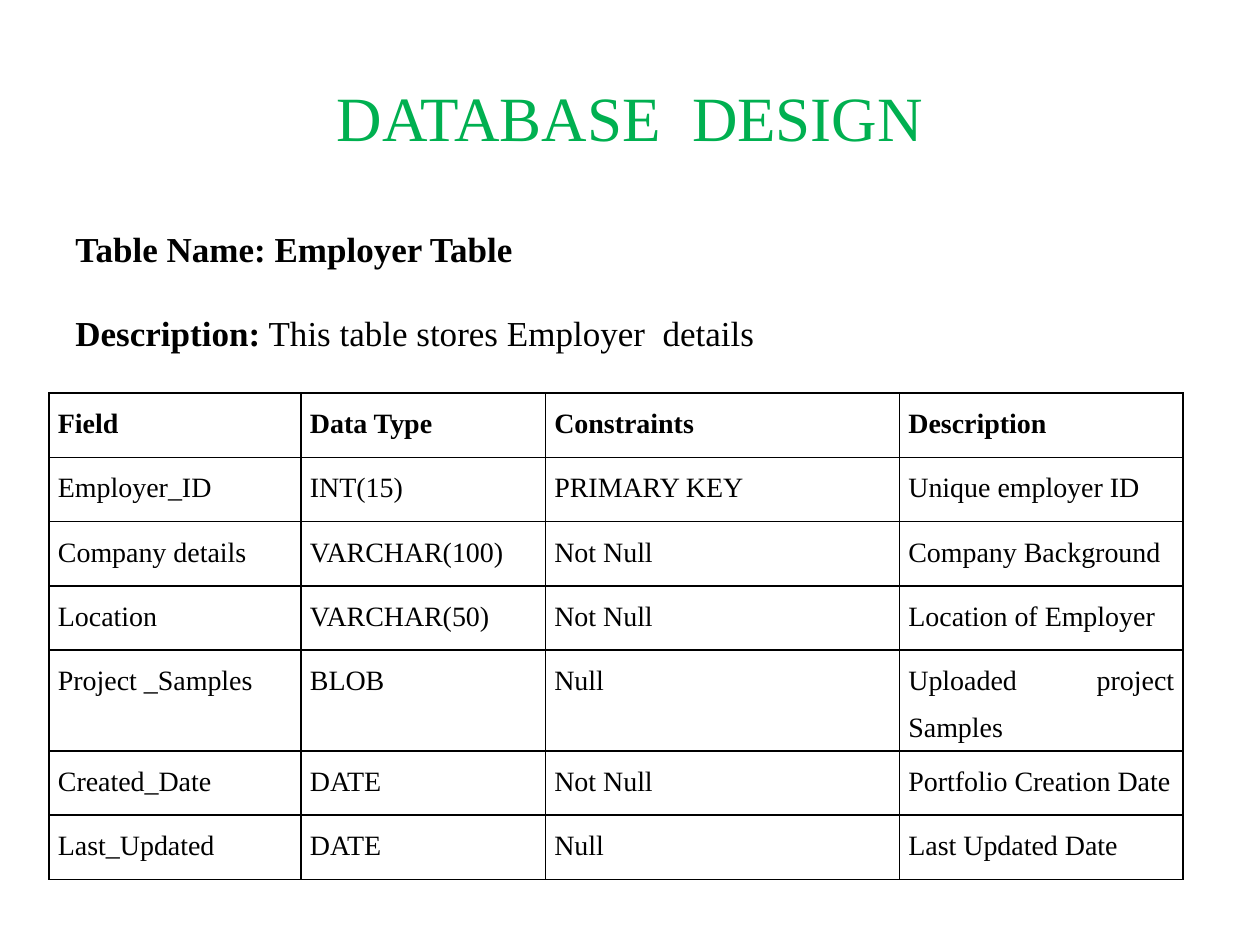
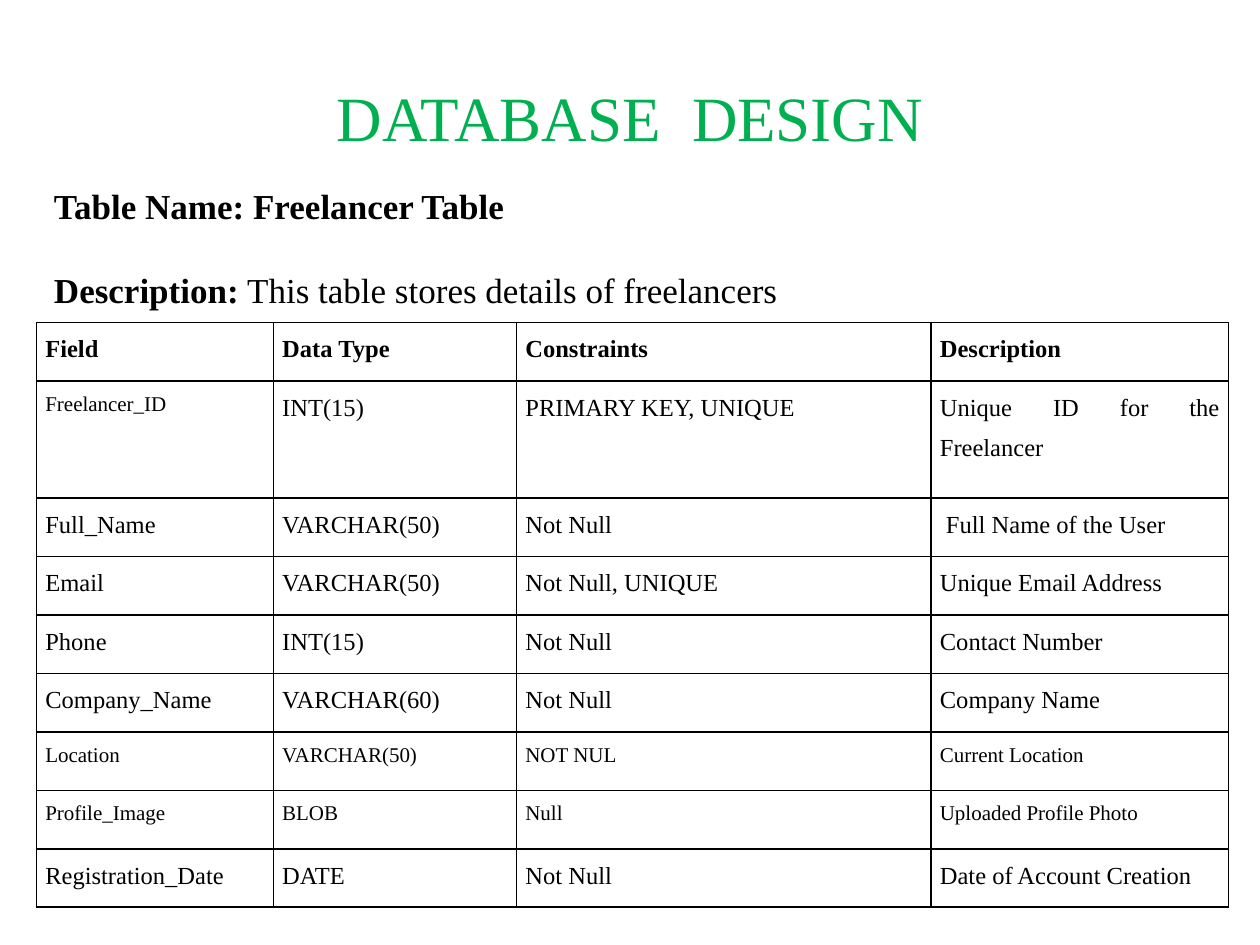
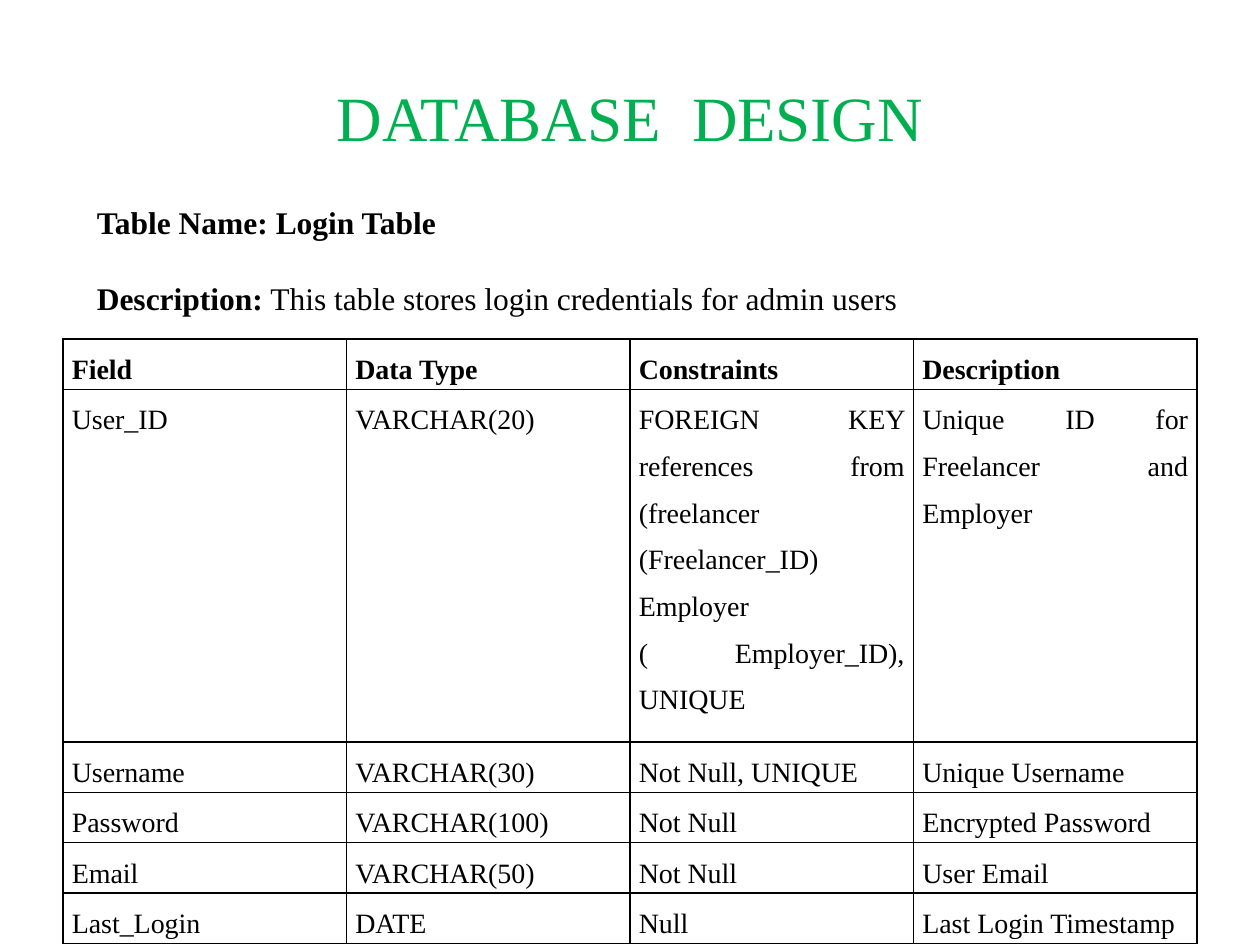
from dataclasses import dataclass

from pptx import Presentation
from pptx.dml.color import RGBColor
from pptx.enum.text import MSO_ANCHOR as Anchor, PP_ALIGN as Align
from pptx.oxml import parse_xml
from pptx.oxml.ns import nsdecls
from pptx.util import Inches, Pt


@dataclass(frozen=True)
class Theme:
    font: str = "Times New Roman"
    title_color: RGBColor = RGBColor(0x00, 0xB0, 0x50)
    text_color: RGBColor = RGBColor(0x00, 0x00, 0x00)
    border_color: str = "000000"
    border_width: int = Pt(1)
    title_size: int = 36
    small_cell_size: int = 12
    gap_ratio: float = 1.22
    cell_line_spacing: float = 1.5
    cell_margin: float = 0.07


THEME = Theme()
TITLE = "DATABASE  DESIGN"
HEADER = ("Field", "Data Type", "Constraints", "Description")

EMPLOYER_ROWS = [
    ("Employer_ID", "INT(15)", "PRIMARY KEY", "Unique employer ID"),
    ("Company details", "VARCHAR(100)", "Not Null", "Company Background"),
    ("Location", "VARCHAR(50)", "Not Null", "Location of Employer"),
    ("Project _Samples", "BLOB", "Null", "Uploaded project Samples"),
    ("Created_Date", "DATE", "Not Null", "Portfolio Creation Date"),
    ("Last_Updated", "DATE", "Null", "Last Updated Date"),
]
FREELANCER_ROWS = [
    ("Freelancer_ID", "INT(15)", "PRIMARY KEY, UNIQUE", "Unique ID for the Freelancer"),
    ("Full_Name", "VARCHAR(50)", "Not Null", " Full Name of the User"),
    ("Email", "VARCHAR(50)", "Not Null, UNIQUE", "Unique Email Address"),
    ("Phone", "INT(15)", "Not Null", "Contact Number"),
    ("Company_Name", "VARCHAR(60)", "Not Null", "Company Name"),
    ("Location", "VARCHAR(50)", "NOT NUL", "Current Location"),
    ("Profile_Image", "BLOB", "Null", "Uploaded Profile Photo"),
    ("Registration_Date", "DATE", "Not Null", "Date of Account Creation"),
]
# Cells (row, column) of the freelancer table set in the smaller size
FREELANCER_SMALL = {(1, 0)} | {(row, col) for row in (6, 7 - 1, 7) for col in range(4)}
LOGIN_ROWS = [
    ("User_ID", "VARCHAR(20)",
     "FOREIGN KEY references from (freelancer (Freelancer_ID) Employer ( Employer_ID), UNIQUE",
     "Unique ID for Freelancer and Employer"),
    ("Username", "VARCHAR(30)", "Not Null, UNIQUE", "Unique Username"),
    ("Password", "VARCHAR(100)", "Not Null", "Encrypted Password"),
    ("Email", "VARCHAR(50)", "Not Null", "User Email"),
    ("Last_Login", "DATE", "Null", "Last Login Timestamp"),
]


def add_run(p, text, size, color=THEME.text_color, bold=False):
    r = p.add_run()
    r.text = text
    r.font.name = THEME.font
    r.font.size = Pt(size)
    r.font.bold = bold
    r.font.color.rgb = color


def add_text_box(s, left, top, width, height):
    tf = s.shapes.add_textbox(*map(Inches, (left, top, width, height))).text_frame
    tf.word_wrap = True
    tf.vertical_anchor = Anchor.MIDDLE
    return tf


def add_title(s):
    p = add_text_box(s, 0.5, 0.3, 9, 1.25).paragraphs[0]
    p.alignment = Align.CENTER
    add_run(p, TITLE, THEME.title_size, THEME.title_color)


def add_intro(s, box, name, description, size):
    """Table name, then its description one line further down."""
    tf = add_text_box(s, *box)
    name_p, description_p = tf.paragraphs[0], tf.add_paragraph()
    name_p.alignment = description_p.alignment = Align.JUSTIFY
    description_p.space_before = Pt(size * THEME.gap_ratio)
    add_run(name_p, f"Table Name: {name}", size, bold=True)
    add_run(description_p, "Description:", size, bold=True)
    add_run(description_p, f" {description}", size)


def add_borders(cell):
    tc_pr = cell._tc.get_or_add_tcPr()
    for index, side in enumerate(("lnL", "lnR", "lnT", "lnB")):
        tc_pr.insert(index, parse_xml(
            f'<a:{side} {nsdecls("a")} w="{THEME.border_width}"><a:solidFill>'
            f'<a:srgbClr val="{THEME.border_color}"/></a:solidFill></a:{side}>'))


def fill_cell(cell, text, size, bold):
    cell.fill.background()
    cell.margin_left = cell.margin_right = Inches(THEME.cell_margin)
    cell.margin_top = cell.margin_bottom = 0
    add_borders(cell)
    p = cell.text_frame.paragraphs[0]
    p.alignment = Align.JUSTIFY
    p.line_spacing = THEME.cell_line_spacing
    add_run(p, text, size, bold=bold)


def add_field_table(s, left, top, col_widths, row_height, rows, size,
                    tall_rows, small_cells=()):
    """Field table; tall_rows maps a row number to its own height."""
    rows = [HEADER, *rows]
    heights = [tall_rows.get(i, row_height) for i in range(len(rows))]
    table = s.shapes.add_table(
        len(rows), len(HEADER), Inches(left), Inches(top),
        Inches(sum(col_widths)), Inches(sum(heights))).table
    table.horz_banding = False
    for column, width in zip(table.columns, col_widths):
        column.width = Inches(width)
    for i, (row, height) in enumerate(zip(rows, heights)):
        table.rows[i].height = Inches(height)
        for j, text in enumerate(row):
            cell_size = THEME.small_cell_size if (i, j) in small_cells else size
            fill_cell(table.cell(i, j), text, cell_size, bold=i == 0)


def add_design_slide(prs):
    s = prs.slides.add_slide(prs.slide_layouts[6])
    add_title(s)
    return s


def main():
    prs = Presentation()
    prs.slide_width, prs.slide_height = Inches(10), Inches(7.5)

    # Employer table
    s = add_design_slide(prs)
    add_intro(s, (0.5, 1.75, 8.92, 1.11), "Employer Table",
              "This table stores Employer  details", 20)
    add_field_table(s, 0.39, 3.12, (2, 1.94, 2.81, 2.25), 0.51,
                    EMPLOYER_ROWS, 16, {4: 0.74})

    # Freelancer table
    s = add_design_slide(prs)
    add_intro(s, (0.33, 1.41, 8.42, 1.11), "Freelancer Table",
              "This table stores details of freelancers", 20)
    add_field_table(s, 0.29, 2.56, (1.88, 1.93, 3.29, 2.36), 0.464,
                    FREELANCER_ROWS, 14, {1: 0.93}, FREELANCER_SMALL)

    # Login table
    s = add_design_slide(prs)
    add_intro(s, (0.67, 1.56, 6.62, 1.01), "Login Table",
              "This table stores login credentials for admin users", 18)
    add_field_table(s, 0.5, 2.69, (2.25,) * 4, 0.37, LOGIN_ROWS, 16, {1: 2.59})

    prs.save("out.pptx")


if __name__ == "__main__":
    main()
